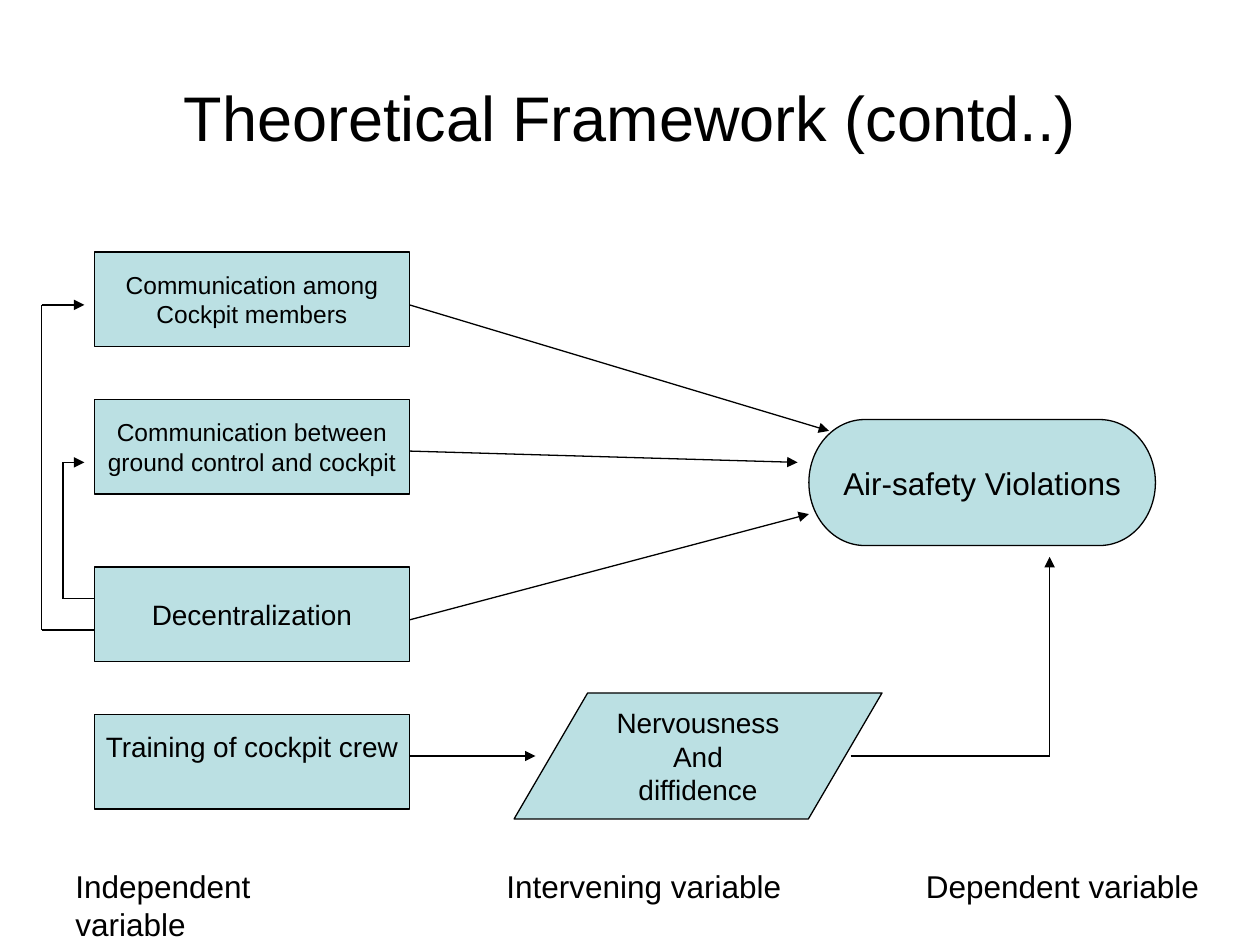
"""Build the theoretical framework slide for air-safety violations."""
from lxml import etree
from pptx import Presentation
from pptx.dml.color import RGBColor
from pptx.enum.shapes import MSO_CONNECTOR, MSO_SHAPE as SHAPE
from pptx.enum.text import MSO_ANCHOR as ANCHOR, PP_ALIGN as ALIGN
from pptx.oxml.ns import qn
from pptx.util import Inches, Pt


def color(hex_value):
    return RGBColor.from_string(hex_value)


def write(frame, text, size=18, align=ALIGN.CENTER, anchor=ANCHOR.MIDDLE, wrap=False, bottom=0.05):
    frame.text = text
    frame.word_wrap = wrap
    frame.vertical_anchor = anchor
    frame.margin_bottom = Inches(bottom)
    for paragraph in frame.paragraphs:
        paragraph.alignment = align
        paragraph.font.size = Pt(size)
        paragraph.font.name = "Arial"
        paragraph.font.color.rgb = color("000000")


prs = Presentation()
prs.slide_width, prs.slide_height = Inches(10), Inches(7.5)
slide = prs.slides.add_slide(prs.slide_layouts[5])

title = slide.shapes.title
title.left, title.top = Inches(0.5), Inches(0.3)
title.width, title.height = Inches(9), Inches(1.25)
write(title.text_frame, "Theoretical Framework (contd..)", size=36, wrap=True)

variables = [
    (SHAPE.FLOWCHART_PROCESS, 0.75, 2, 2.5, 0.75, "Communication among\nCockpit members", 14, 0.05),
    (SHAPE.FLOWCHART_PROCESS, 0.75, 3.17, 2.5, 0.75,
     "Communication between\nground control and cockpit", 14, 0.05),
    (SHAPE.FLOWCHART_PROCESS, 0.75, 4.5, 2.5, 0.75, "Decentralization", 16, 0.05),
    (SHAPE.FLOWCHART_PROCESS, 0.75, 5.67, 2.5, 0.75, "Training of cockpit crew", 16, 0.3),
    (SHAPE.FLOWCHART_TERMINATOR, 6.42, 3.33, 2.75, 1, "Air-safety Violations", 18, 0.05),
    (SHAPE.FLOWCHART_DATA, 4.08, 5.5, 2.92, 1, "Nervousness\nAnd\ndiffidence", 16, 0.05),
]
for kind, left, top, width, height, text, size, bottom in variables:
    variable = slide.shapes.add_shape(kind, Inches(left), Inches(top), Inches(width), Inches(height))
    variable.shadow.inherit = False
    variable.fill.solid()
    variable.fill.fore_color.rgb = color("BBE0E3")
    variable.line.color.rgb = color("000000")
    variable.line.width = Pt(0.75)
    write(variable.text_frame, text, size=size, bottom=bottom)

influences = [
    [(3.25, 2.42), (6.58, 3.42)],
    [(3.25, 3.58), (6.33, 3.67)],
    [(3.25, 4.92), (6.42, 4.08)],
    [(0.75, 4.75), (0.5, 4.75), (0.5, 3.67), (0.67, 3.67)],
    [(0.75, 5), (0.33, 5), (0.33, 2.42), (0.67, 2.42)],
    [(3.25, 6), (4.25, 6)],
    [(6.75, 6), (8.33, 6), (8.33, 4.42)],
]
for route in influences:
    for start, end in zip(route, route[1:]):
        segment = slide.shapes.add_connector(
            MSO_CONNECTOR.STRAIGHT, *(Inches(value) for value in start + end))
        segment.line.color.rgb = color("000000")
        segment.line.width = Pt(0.75)
        if end == route[-1]:
            etree.SubElement(segment.line._get_or_add_ln(), qn("a:tailEnd"), type="triangle")
        etree.SubElement(segment._element.spPr, qn("a:effectLst"))

captions = [
    ("Independent variable", 0.5, 2.53),
    ("Intervening variable", 3.92, 2.38),
    ("Dependent variable", 7.25, 2.37),
]
for text, left, width in captions:
    caption = slide.shapes.add_textbox(Inches(left), Inches(6.83), Inches(width), Inches(0.4))
    write(caption.text_frame, text, align=ALIGN.LEFT, anchor=ANCHOR.TOP)

prs.save("out.pptx")
